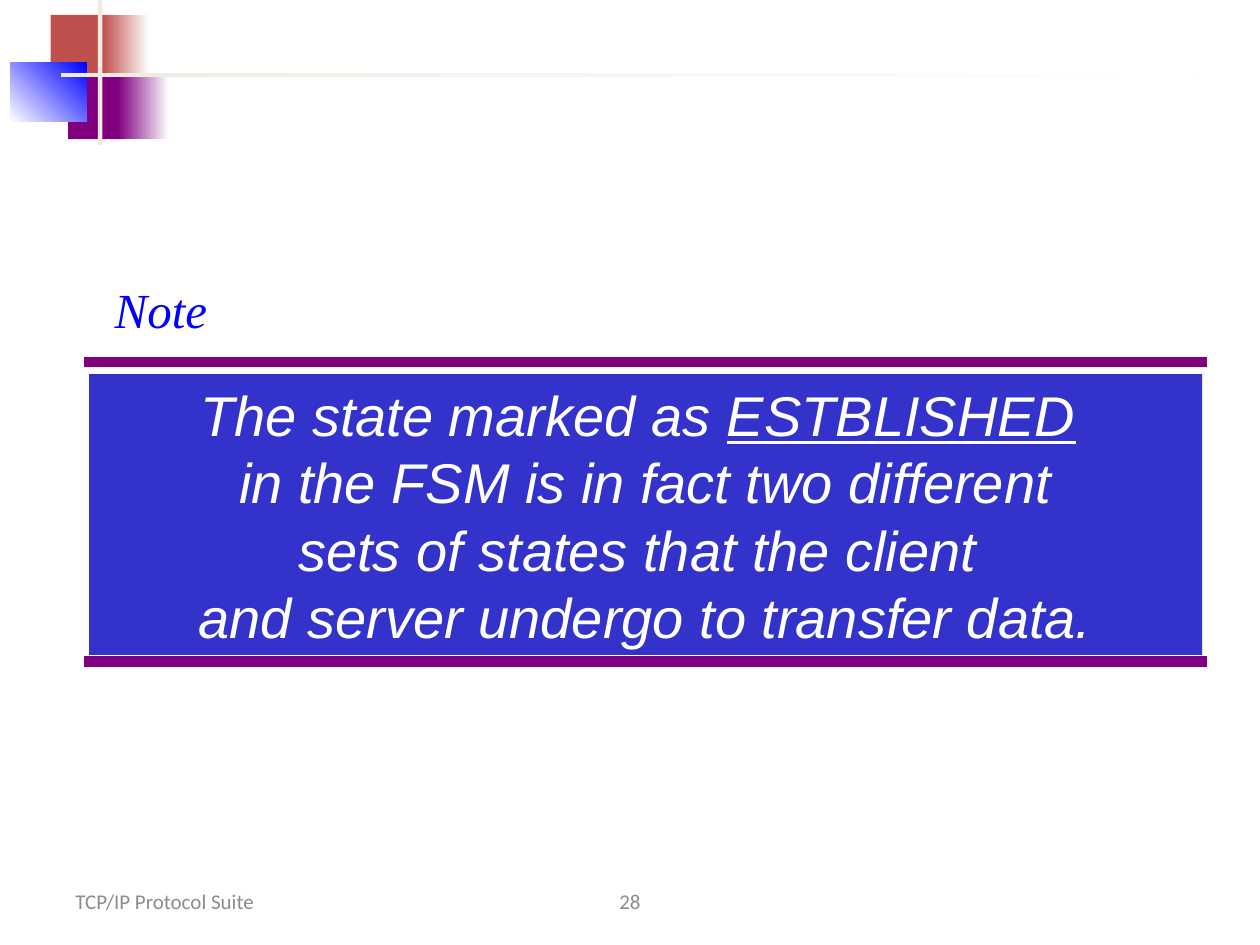
from lxml.etree import SubElement
from pptx import Presentation
from pptx.dml.color import RGBColor
from pptx.enum.shapes import MSO_CONNECTOR, MSO_SHAPE
from pptx.enum.text import MSO_ANCHOR, PP_ALIGN
from pptx.oxml.ns import qn
from pptx.util import Pt

WHITE = RGBColor(0xFF, 0xFF, 0xFF)
GREY = RGBColor(0x8C, 0x8C, 0x8C)
RED = RGBColor(0xC0, 0x50, 0x4D)
PURPLE = RGBColor(0x80, 0x00, 0x80)
BLUE = RGBColor(0x00, 0x00, 0xFF)
CREAM = RGBColor(0xEE, 0xEC, 0xE1)
NOTE_BLUE = RGBColor(0x33, 0x33, 0xCC)

UNDERLINED = "ESTBLISHED"
STATEMENT = [
    ["The state marked as ", UNDERLINED, " ", "\n", "in the FSM is in fact two different"],
    ["sets of states that the client ", "\n", "and server undergo to transfer data."],
]


class NoteSlide:
    body_font = "Arial"
    footer_font = "Calibri"
    note_font = "Times New Roman"

    def __init__(self, presentation):
        self.slide = presentation.slides.add_slide(presentation.slide_layouts[6])

    def block(self, left, top, width, height, color, end_color=None, angle=0):
        """Add a borderless rectangle, faded to end_color when one is given."""
        block = self.slide.shapes.add_shape(
            MSO_SHAPE.RECTANGLE, Pt(left), Pt(top), Pt(width), Pt(height))
        block.shadow.inherit = False
        block.line.fill.background()
        if end_color is None:
            block.fill.solid()
            block.fill.fore_color.rgb = color
        else:
            block.fill.gradient()
            block.fill.gradient_angle = angle
            for stop, stop_color in zip(block.fill.gradient_stops, (color, end_color)):
                stop.color.rgb = stop_color
        return block

    def rule(self, left, right, y):
        rule = self.slide.shapes.add_connector(
            MSO_CONNECTOR.STRAIGHT, Pt(left), Pt(y), Pt(right), Pt(y))
        rule.line.color.rgb = PURPLE
        rule.line.width = Pt(6)
        SubElement(rule._element.spPr, qn("a:effectLst"))

    def style(self, paragraph, font, size, color, italic=False):
        for run in paragraph.runs:
            run.font.name = font
            run.font.size = Pt(size)
            run.font.color.rgb = color
            run.font.italic = italic

    def label(self, text, left, top, width, height, font, size, color,
              italic=False, align=PP_ALIGN.LEFT, anchor=MSO_ANCHOR.TOP, wrap=True):
        frame = self.slide.shapes.add_textbox(
            Pt(left), Pt(top), Pt(width), Pt(height)).text_frame
        frame.text = text
        frame.word_wrap = wrap
        frame.vertical_anchor = anchor
        frame.paragraphs[0].alignment = align
        self.style(frame.paragraphs[0], font, size, color, italic)

    def footer(self, text, left, width, align):
        self.label(text, left, 500.5, width, 28.75, self.footer_font, 12, GREY,
                   align=align, anchor=MSO_ANCHOR.MIDDLE)

    def statement(self, paragraphs, left, top, width, height):
        frame = self.block(left, top, width, height, NOTE_BLUE).text_frame
        frame.word_wrap = True
        frame.vertical_anchor = MSO_ANCHOR.TOP
        for index, pieces in enumerate(paragraphs):
            paragraph = frame.add_paragraph() if index else frame.paragraphs[0]
            paragraph.alignment = PP_ALIGN.CENTER
            paragraph.line_spacing = Pt(38.5)
            for piece in pieces:
                if piece == "\n":
                    paragraph.add_line_break()
                    continue
                run = paragraph.add_run()
                run.text = piece
                run.font.underline = piece == UNDERLINED
            self.style(paragraph, self.body_font, 32, WHITE, italic=True)


def main():
    presentation = Presentation()
    presentation.slide_width, presentation.slide_height = Pt(720), Pt(540)
    page = NoteSlide(presentation)

    page.footer("TCP/IP Protocol Suite", 36, 168, PP_ALIGN.LEFT)
    page.footer("28", 246, 228, PP_ALIGN.CENTER)

    page.block(29, 8.5, 34.5, 37.5, RED)
    page.block(59, 8.5, 26, 37.5, RED, WHITE)
    page.block(39, 42, 33, 37.5, PURPLE)
    page.block(67.5, 42, 29, 37.5, PURPLE, WHITE)
    page.block(5.75, 36, 44, 33.5, WHITE, BLUE, angle=45)
    page.block(56, 0, 2.5, 83, CREAM)
    page.block(34.75, 41.75, 648, 2.5, CREAM, WHITE)

    for y in (206.75, 378):
        page.rule(48, 690, y)
    page.statement(STATEMENT, 51, 213.75, 636, 160.5)
    page.label("Note", 58.5, 156, 69, 41, page.note_font, 28, BLUE,
               italic=True, wrap=False)

    presentation.save("out.pptx")


if __name__ == "__main__":
    main()
